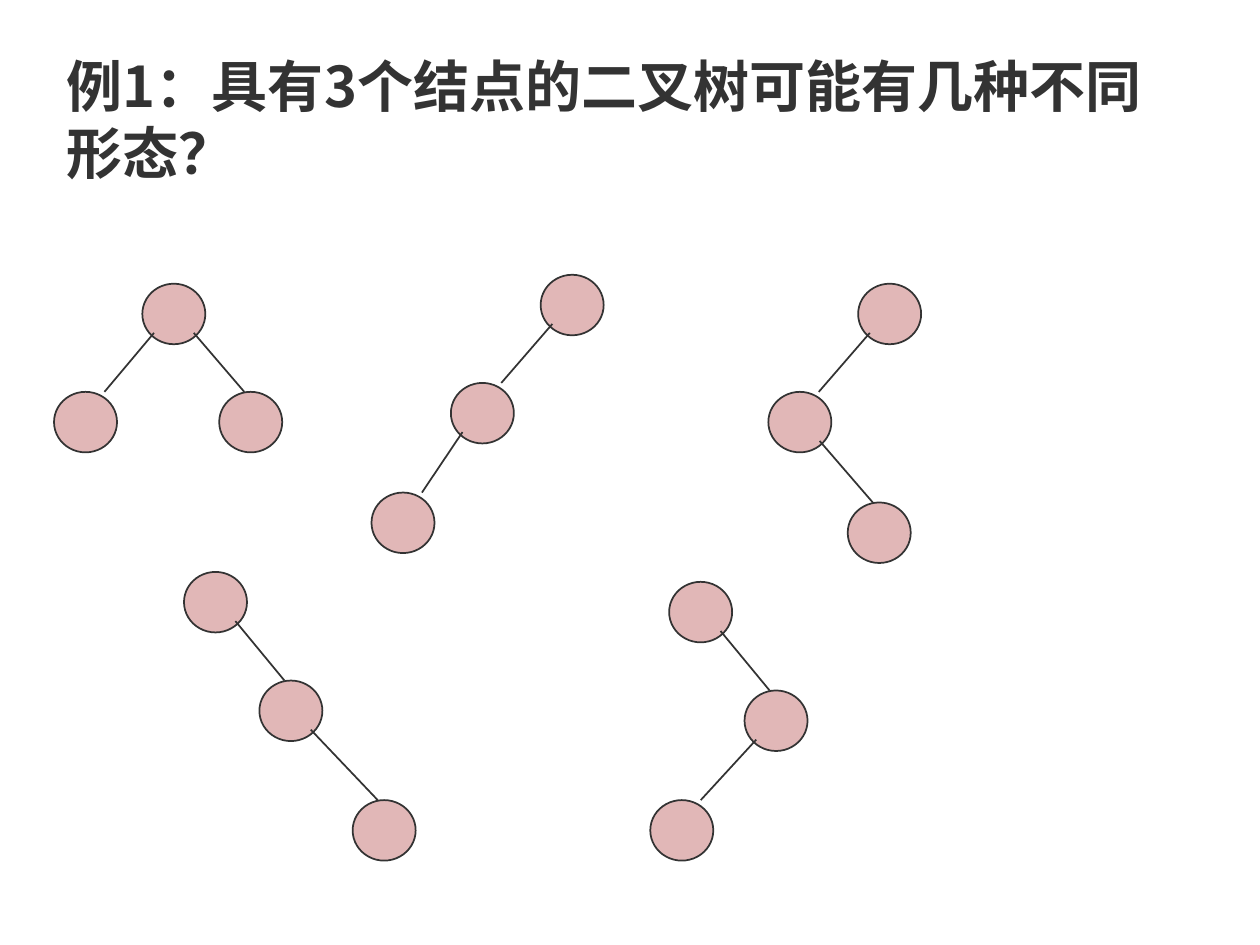
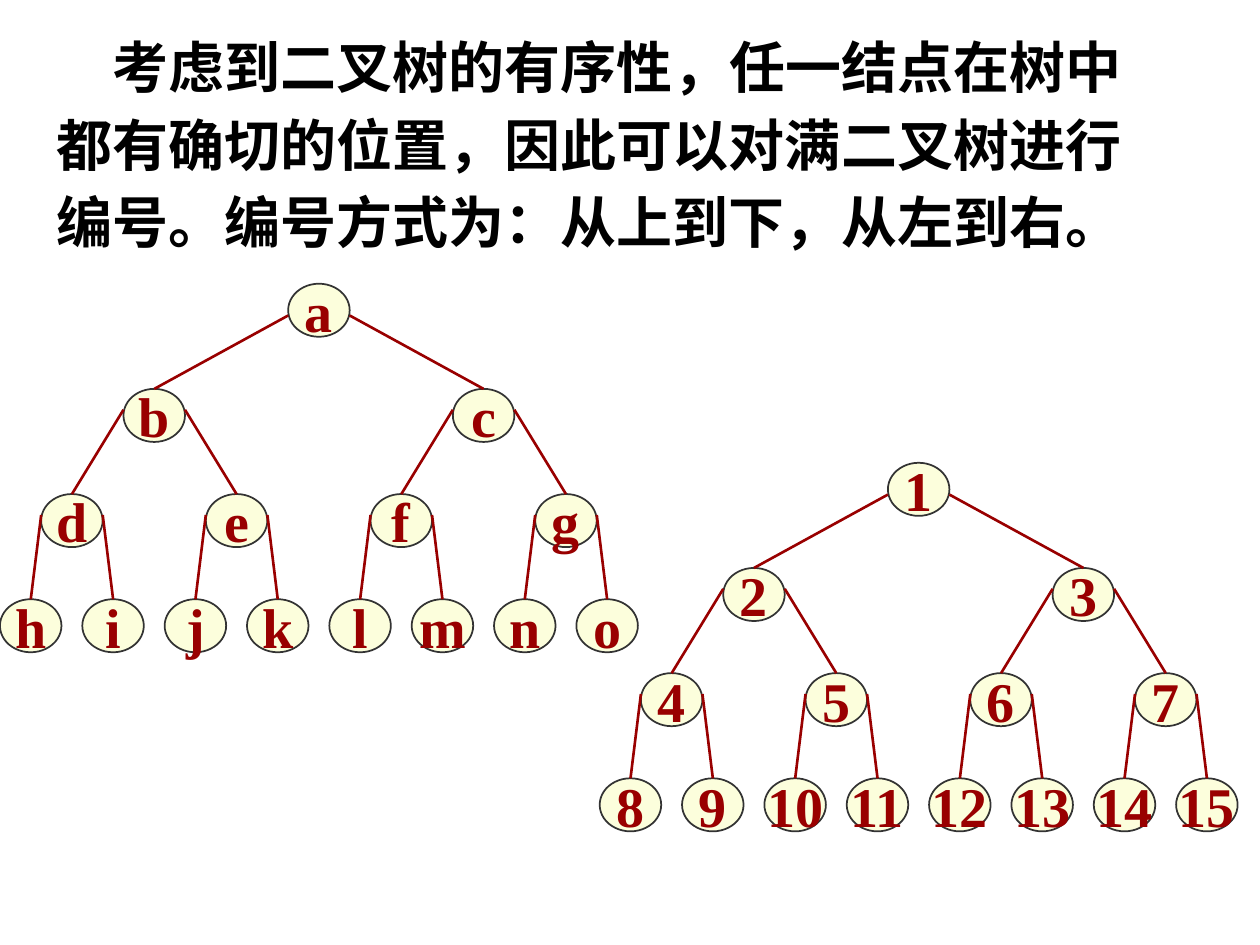
from dataclasses import dataclass

from lxml import etree
from pptx import Presentation
from pptx.dml.color import RGBColor
from pptx.enum.shapes import MSO_CONNECTOR, MSO_SHAPE
from pptx.enum.text import MSO_ANCHOR, MSO_AUTO_SIZE, PP_ALIGN
from pptx.oxml.ns import qn
from pptx.util import Cm, Pt

STRAIGHT = MSO_CONNECTOR.STRAIGHT
OVAL = MSO_SHAPE.OVAL
TOP, MIDDLE = MSO_ANCHOR.TOP, MSO_ANCHOR.MIDDLE
FIXED = MSO_AUTO_SIZE.NONE
LEFT, CENTER = PP_ALIGN.LEFT, PP_ALIGN.CENTER
TITLE_ONLY = 5


@dataclass(frozen=True)
class Theme:
    ink: RGBColor = RGBColor(0x33, 0x33, 0x33)
    black: RGBColor = RGBColor(0, 0, 0)
    pink: RGBColor = RGBColor(0xE1, 0xB7, 0xB7)
    cream: RGBColor = RGBColor(0xFC, 0xFE, 0xDC)
    red: RGBColor = RGBColor(0x99, 0, 0)
    size: Pt = Pt(32)
    outline: Pt = Pt(1)
    branch: Pt = Pt(1.5)
    sans: str = "Noto Sans CJK SC"
    serif: str = "Times New Roman"


THEME = Theme()

SHAPE_W, SHAPE_H = 1.27, 1.22
SHAPE_TREES = [
    ([(2.87, 5.72), (1.09, 7.9), (4.42, 7.9)], [(0, 1), (0, 2)]),
    ([(10.9, 5.54), (9.09, 7.72), (7.49, 9.93)], [(0, 1), (1, 2)]),
    ([(17.3, 5.72), (15.49, 7.9), (17.09, 10.13)], [(0, 1), (1, 2)]),
    ([(3.71, 11.53), (5.23, 13.72), (7.11, 16.13)], [(0, 1), (1, 2)]),
    ([(13.49, 11.73), (15.01, 13.92), (13.11, 16.13)], [(0, 1), (1, 2)]),
]

FULL_W, FULL_H = 1.24, 1.07
LEAF_STEP, LEVEL_STEP, DEPTH = 1.66, 2.12, 4
ROOT_EXIT, INNER_EXIT = 0.64, 0.42
NUMBERED = [str(n) for n in range(1, 2 ** DEPTH)]
LETTERED = list("abcdefghijklmno")


def set_attrs(obj, values):
    for name, value in values.items():
        setattr(obj, name, value)


def style_run(r, face, color):
    set_attrs(r.font, {"name": face, "size": THEME.size, "bold": True})
    r.font.color.rgb = color
    ea = etree.SubElement(r.font._element, qn("a:ea"))
    ea.set("typeface", THEME.sans)


def add_heading(slide, text, box, face, color, spacing=1.0, indent=0):
    sp = slide.shapes.title
    set_attrs(sp, dict(zip(("left", "top", "width", "height"), map(Cm, box))))
    tf = sp.text_frame
    set_attrs(tf, {"word_wrap": True, "auto_size": FIXED, "vertical_anchor": TOP})
    p = tf.paragraphs[0]
    set_attrs(p, {"alignment": LEFT, "line_spacing": spacing})
    p._p.get_or_add_pPr().set("indent", str(Cm(indent)))
    r = p.add_run()
    r.text = text
    style_run(r, face, color)


def add_node(shapes, x, y, w, h, fill, label=""):
    sp = shapes.add_shape(OVAL, Cm(x), Cm(y), Cm(w), Cm(h))
    sp.shadow.inherit = False
    sp.fill.solid()
    sp.fill.fore_color.rgb = fill
    sp.line.color.rgb = THEME.ink
    sp.line.width = THEME.outline
    if label:
        tf = sp.text_frame
        set_attrs(tf, {"word_wrap": False, "vertical_anchor": MIDDLE})
        p = tf.paragraphs[0]
        p.alignment = CENTER
        r = p.add_run()
        r.text = label
        style_run(r, THEME.serif, THEME.red)
    return sp


def add_edge(shapes, start, end, color, width):
    c = shapes.add_connector(STRAIGHT, *map(Cm, start + end))
    c.line.color.rgb = color
    c.line.width = width
    etree.SubElement(c._element.spPr, qn("a:effectLst"))
    return c


def add_shape_tree(slide, nodes, edges):
    shapes = slide.shapes.add_group_shape().shapes
    for x, y in nodes:
        add_node(shapes, x, y, SHAPE_W, SHAPE_H, THEME.pink)
    for parent, child in edges:
        (px, py), (cx, cy) = nodes[parent], nodes[child]
        leave, arrive = (-0.4, 0.38) if cx < px else (0.4, -0.13)
        mid = SHAPE_W / 2
        start = (px + mid + leave, py + SHAPE_H / 2 + 0.38)
        add_edge(shapes, start, (cx + mid + arrive, cy), THEME.ink, THEME.outline)


def full_tree_spot(n, left, top):
    level = n.bit_length() - 1
    index = n - 2 ** level
    span = 2 ** (DEPTH - 1 - level)
    x = left + (span * (index + 0.5) - 0.5) * LEAF_STEP
    return x, top + level * LEVEL_STEP


def add_full_tree(slide, labels, left, top):
    shapes = slide.shapes.add_group_shape().shapes
    spots = {n: full_tree_spot(n, left, top) for n in range(1, len(labels) + 1)}
    nodes = {n: add_node(shapes, x, y, FULL_W, FULL_H, THEME.cream, labels[n - 1])
             for n, (x, y) in spots.items()}
    for child in range(2, len(labels) + 1):
        parent, is_right = divmod(child, 2)
        px, py = spots[parent]
        cx, cy = spots[child]
        drop = ROOT_EXIT if parent == 1 else INNER_EXIT
        c = add_edge(shapes, (px + is_right * FULL_W, py + drop),
                     (cx + FULL_W / 2, cy), THEME.red, THEME.branch)
        c.end_connect(nodes[child], 0)


def main():
    prs = Presentation()
    set_attrs(prs, {"slide_width": Cm(25.4), "slide_height": Cm(19.05)})
    layout = prs.slide_layouts[TITLE_ONLY]

    s = prs.slides.add_slide(layout)
    add_heading(s, "例1：具有3个结点的二叉树可能有几种不同形态？",
                (1.09, 0.91, 22.81, 2.97), THEME.sans, THEME.ink)
    for nodes, edges in SHAPE_TREES:
        add_shape_tree(s, nodes, edges)

    s = prs.slides.add_slide(layout)
    add_heading(s, "考虑到二叉树的有序性，任一结点在树中都有确切的位置，"
                "因此可以对满二叉树进行编号。编号方式为：从上到下，从左到右。",
                (0.89, 0.33, 22.61, 4.93), THEME.serif, THEME.black,
                spacing=1.15, indent=1.13)
    add_full_tree(s, NUMBERED, 12.09, 9.33)
    add_full_tree(s, LETTERED, 0, 5.72)

    prs.save("out.pptx")


if __name__ == "__main__":
    main()
